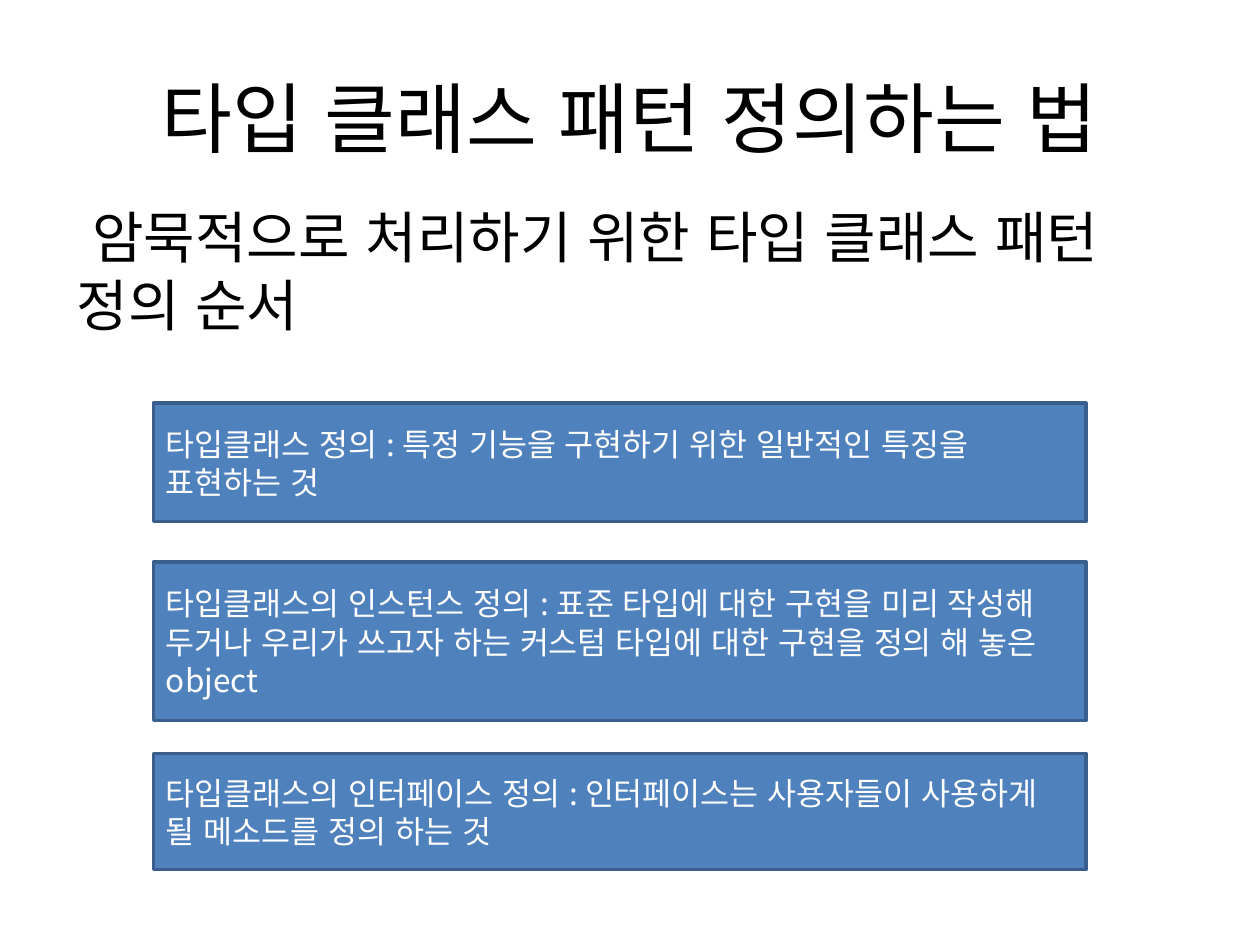
from lxml import etree
from pptx import Presentation
from pptx import util as u
from pptx.dml.color import RGBColor
from pptx.enum import lang, shapes, text
from pptx.oxml.ns import qn

FONT = "Noto Sans CJK KR"


def color(value):
    return RGBColor.from_string(value)


def write(shape, words, size=18, fill="000000", align=text.PP_ALIGN.LEFT,
          anchor=text.MSO_ANCHOR.MIDDLE, spacing=None, before=0):
    frame = shape.text_frame
    frame.word_wrap = True
    frame.auto_size = text.MSO_AUTO_SIZE.NONE
    frame.vertical_anchor = anchor
    paragraph = frame.paragraphs[0]
    paragraph.alignment = align
    paragraph.space_before = u.Pt(before)
    if spacing:
        paragraph.line_spacing = u.Pt(spacing)
    run = paragraph.add_run()
    run.text = words
    run.font.size = u.Pt(size)
    run.font.color.rgb = color(fill)
    run.font.name = FONT
    run.font.language_id = lang.MSO_LANGUAGE_ID.KOREAN
    etree.SubElement(run.font._element, qn("a:ea"), typeface=FONT)


presentation = Presentation()
presentation.slide_width = u.Pt(720)
presentation.slide_height = u.Pt(540)
slide = presentation.slides.add_slide(presentation.slide_layouts[5])

title = slide.shapes.title
title.left, title.top, title.width, title.height = map(u.Pt, (36, 21.6, 648, 90))
write(title, "타입 클래스 패턴 정의하는 법", size=44, align=text.PP_ALIGN.CENTER)

intro = slide.shapes.add_textbox(u.Pt(36.7), u.Pt(111.6), u.Pt(635.8), u.Pt(104.4))
write(intro, " 암묵적으로 처리하기 위한 타입 클래스 패턴 정의 순서", size=32,
      anchor=text.MSO_ANCHOR.TOP, spacing=39, before=6.4)

steps = [
    (230.4, 67.7, "타입클래스 정의 : 특정 기능을 구현하기 위한 일반적인 특징을 표현하는 것"),
    (321.1, 90.7, "타입클래스의 인스턴스 정의 : 표준 타입에 대한 구현을 미리 작성해 두거나 "
                  "우리가 쓰고자 하는 커스텀 타입에 대한 구현을 정의 해 놓은 object"),
    (430.6, 66.2, "타입클래스의 인터페이스 정의 : 인터페이스는 사용자들이 사용하게 될 "
                  "메소드를 정의 하는 것"),
]
for top, height, words in steps:
    box = slide.shapes.add_shape(shapes.MSO_SHAPE.RECTANGLE, u.Pt(87.8), u.Pt(top),
                                 u.Pt(532.8), u.Pt(height))
    box.shadow.inherit = False
    box.fill.solid()
    box.fill.fore_color.rgb = color("4F81BD")
    box.line.color.rgb = color("3A5F8C")
    box.line.width = u.Pt(2)
    write(box, words, fill="FFFFFF", spacing=21.9)

presentation.save("out.pptx")
